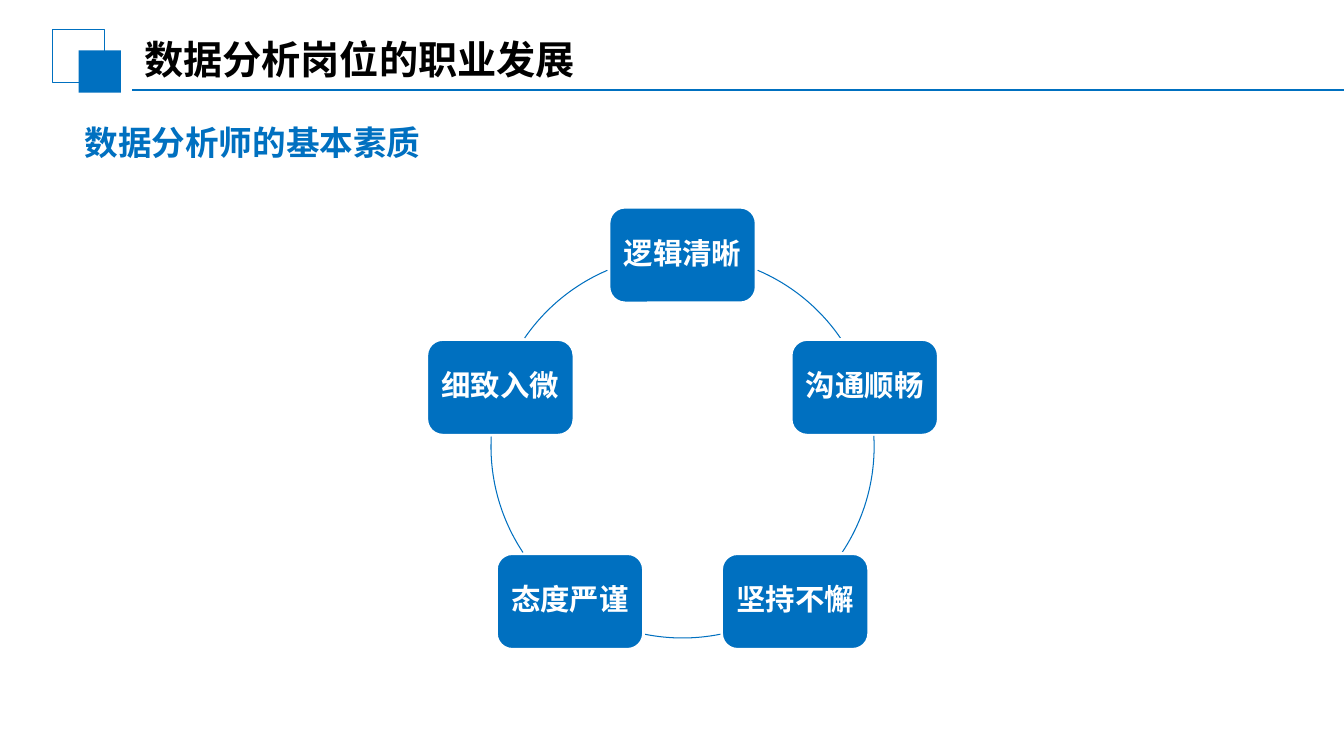
from dataclasses import dataclass
from math import cos, radians, sin

from lxml.etree import SubElement
from pptx import Presentation
from pptx.dml.color import RGBColor
from pptx.enum.shapes import MSO_CONNECTOR as Connector, MSO_SHAPE as Shape
from pptx.enum.text import MSO_ANCHOR as Anchor, PP_ALIGN as Align
from pptx.oxml.ns import qn
from pptx.util import Inches, Pt


@dataclass(frozen=True)
class Theme:
    """Colours, fonts and type sizes of the slide."""
    blue: RGBColor = RGBColor(0x00, 0x70, 0xC0)
    white: RGBColor = RGBColor(0xFF, 0xFF, 0xFF)
    black: RGBColor = RGBColor(0x00, 0x00, 0x00)
    heading_font: str = "Calibri"
    chinese_font: str = "Noto Sans CJK SC"
    title_size: int = 28
    subtitle_size: int = 24
    quality_size: int = 21
    thin: float = 0.75
    rule: float = 1.25
    outline: float = 2


THEME = Theme()
QUALITIES = ["逻辑清晰", "沟通顺畅", "坚持不懈", "态度严谨", "细致入微"]
ARC_ANGLES = [(293.1, 325.5), (356.8, 33.6), (78.6, 101.4), (146.4, 183.2), (214.5, 246.9)]
RING_X, RING_Y, RING_RADIUS = 6.77, 4.43, 1.9
CARD_WIDTH, CARD_HEIGHT = 1.46, 0.95


def set_all(target, values):
    """Set each named attribute of the target."""
    for name, value in values.items():
        setattr(target, name, value)


def write(frame, wording, size, color, font, inset, **paragraph_format):
    """Write one bold paragraph into a text frame with (across, down) insets."""
    across, down = map(Inches, inset)
    set_all(frame, {"word_wrap": True, "margin_left": across, "margin_right": across,
                    "margin_top": down, "margin_bottom": down})
    paragraph = frame.paragraphs[0]
    set_all(paragraph, paragraph_format)
    run = paragraph.add_run()
    run.text = wording
    set_all(run.font, {"size": Pt(size), "bold": True, "name": font})
    run.font.color.rgb = color
    SubElement(run.font._element, qn("a:ea")).set("typeface", THEME.chinese_font)
    return paragraph


def add_label(slide, box, anchor, *text):
    """Add a text box holding one paragraph."""
    frame = slide.shapes.add_textbox(*map(Inches, box)).text_frame
    frame.vertical_anchor = anchor
    return write(frame, *text)


def add_figure(slide, kind, box, fill=None, line=None, width=THEME.thin):
    """Add a flat preset shape with an optional fill and outline."""
    figure = slide.shapes.add_shape(kind, *map(Inches, box))
    figure.shadow.inherit = False
    if fill is None:
        figure.fill.background()
    else:
        figure.fill.solid()
        figure.fill.fore_color.rgb = fill
    if line is None:
        figure.line.fill.background()
    else:
        figure.line.color.rgb = line
        figure.line.width = Pt(width)
    return figure


def add_rule(slide, left, right, y):
    """Add the horizontal line below the title."""
    rule = slide.shapes.add_connector(
        Connector.STRAIGHT, Inches(left), Inches(y), Inches(right), Inches(y))
    rule.line.color.rgb = THEME.blue
    rule.line.width = Pt(THEME.rule)
    SubElement(rule._element.spPr, qn("a:effectLst"))


def add_header(slide):
    """Add the title with its two squares, and the subtitle."""
    add_figure(slide, Shape.RECTANGLE, (0.52, 0.29, 0.52, 0.53), line=THEME.blue)
    add_figure(slide, Shape.RECTANGLE, (0.78, 0.5, 0.42, 0.42), fill=THEME.blue)
    add_rule(slide, 1.31, 13.33, 0.89)
    add_label(slide, (1.3, 0.29, 5.29, 0.58), Anchor.MIDDLE, "数据分析岗位的职业发展",
              THEME.title_size, THEME.black, THEME.heading_font, (0.13, 0.07))
    subtitle = add_label(slide, (0.41, 1.16, 5.73, 0.5), Anchor.TOP, "数据分析师的基本素质",
                         THEME.subtitle_size, THEME.blue, THEME.chinese_font, (0.1, 0.05))
    subtitle._p.get_or_add_pPr().set("indent", str(Inches(0.33)))


def add_quality(slide, quality, angle):
    """Add a quality card centred on the ring at an angle in degrees."""
    left = RING_X + RING_RADIUS * cos(radians(angle)) - CARD_WIDTH / 2
    top = RING_Y + RING_RADIUS * sin(radians(angle)) - CARD_HEIGHT / 2
    card = add_figure(slide, Shape.ROUNDED_RECTANGLE, (left, top, CARD_WIDTH, CARD_HEIGHT),
                      THEME.blue, THEME.white, THEME.outline)
    card.text_frame.vertical_anchor = Anchor.MIDDLE
    write(card.text_frame, quality, THEME.quality_size, THEME.white, THEME.chinese_font,
          (0.09, 0.09), alignment=Align.CENTER, line_spacing=0.9)


def add_arc(slide, start, end):
    """Add the stretch of the ring between two angles in degrees."""
    box = (RING_X - RING_RADIUS, RING_Y - RING_RADIUS, 2 * RING_RADIUS, 2 * RING_RADIUS)
    arc = add_figure(slide, Shape.ARC, box, line=THEME.blue)
    for index, angle in enumerate((start, end)):
        arc.adjustments[index] = angle * 0.6


def main():
    """Build the slide and save it."""
    deck = Presentation()
    set_all(deck, {"slide_width": Inches(13.33), "slide_height": Inches(7.5)})
    slide = deck.slides.add_slide(deck.slide_layouts[6])
    add_header(slide)
    step = 360 / len(QUALITIES)
    for index, (quality, angles) in enumerate(zip(QUALITIES, ARC_ANGLES)):
        add_quality(slide, quality, index * step - 90)
        add_arc(slide, *angles)
    deck.save("out.pptx")


if __name__ == "__main__":
    main()
